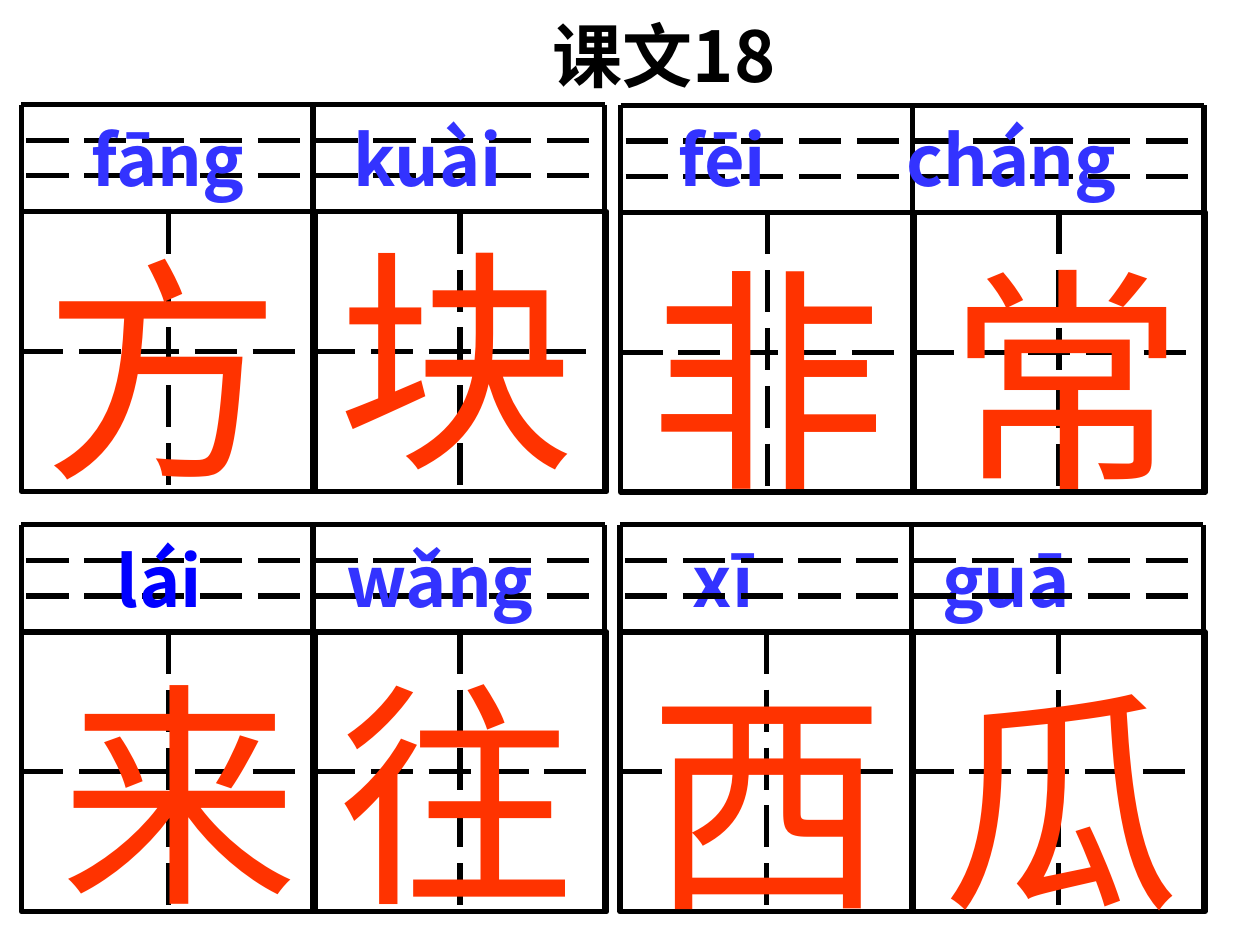
from lxml import etree
from pptx import Presentation
from pptx.dml.color import RGBColor
from pptx.enum.dml import MSO_LINE
from pptx.enum.shapes import MSO_CONNECTOR, MSO_SHAPE
from pptx.enum.text import MSO_AUTO_SIZE
from pptx.oxml.ns import qn
from pptx.util import Inches, Pt

STRAIGHT = MSO_CONNECTOR.STRAIGHT
RECTANGLE = MSO_SHAPE.RECTANGLE
LONG_DASH = MSO_LINE.LONG_DASH
GROW = MSO_AUTO_SIZE.SHAPE_TO_FIT_TEXT
TOP, LEFT, BOTTOM = 0, 1, 2

COLORS = {"ink": "000000", "character": "FF3300",
          "pinyin": "3333FF", "pinyin_strong": "0000FF"}
SANS, LATIN = "Noto Sans CJK SC", "Arial"

# The slide is a grid of 100 columns by 75 rows
COLUMNS, ROWS = 100, 75
CELL_WIDTH, CELL_PITCH, CELL_HEIGHT = 23.3, 23.15, 22.2
PINYIN_HEIGHT = 8.5
SMALL, LARGE = 40, 136
LINE_HEIGHT = 1.288
INSET = 1


def write(paragraph, text, *, size, color, font=SANS, bold=False):
    run = paragraph.add_run()
    run.text = text
    run.font.size = Pt(size)
    run.font.bold = bold
    run.font.name = font
    run.font.color.rgb = RGBColor.from_string(COLORS[color])
    east_asian = etree.SubElement(run.font._element, qn("a:ea"))
    east_asian.set("typeface", SANS)


class Worksheet:
    def __init__(self, prs):
        self.slide = prs.slides.add_slide(prs.slide_layouts[6])
        self.column = prs.slide_width / COLUMNS
        self.row = prs.slide_height / ROWS

    def x(self, columns):
        return round(columns * self.column)

    def y(self, rows):
        return round(rows * self.row)

    def stroke(self, line):
        line.color.rgb = RGBColor.from_string(COLORS["ink"])
        line.width = Pt(3)

    def rule(self, group, x1, y1, x2, y2, dashed=False):
        rule = group.shapes.add_connector(
            STRAIGHT, self.x(x1), self.y(y1), self.x(x2), self.y(y2))
        self.stroke(rule.line)
        if dashed:
            rule.line.dash_style = LONG_DASH
        etree.SubElement(rule._element.spPr, qn("a:effectLst"))
        return rule

    def cell(self, group, left, top):
        """A square for one character, with dashed guides."""
        cell = group.shapes.add_shape(
            RECTANGLE, self.x(left), self.y(top),
            self.x(CELL_WIDTH), self.y(CELL_HEIGHT))
        cell.shadow.inherit = False
        cell.fill.background()
        self.stroke(cell.line)
        center, middle = left + CELL_WIDTH / 2, top + CELL_HEIGHT / 2
        upright = self.rule(group, center, top, center, top + CELL_HEIGHT, True)
        upright.begin_connect(cell, TOP)
        upright.end_connect(cell, BOTTOM)
        level = self.rule(group, left, middle, left + 22.8, middle, True)
        level.begin_connect(cell, LEFT)

    def word_grid(self, left, top):
        """Two character squares under a band ruled for pinyin."""
        group = self.slide.shapes.add_group_shape()
        right = left + 2 * CELL_PITCH
        for index in range(2):
            self.cell(group, left + index * CELL_PITCH, top + PINYIN_HEIGHT)
        self.rule(group, left, top, right, top)
        for drop in (2.85, 5.65):
            self.rule(group, left + 0.4, top + drop, right, top + drop, True)
        for index in range(3):
            edge = left + index * CELL_PITCH
            self.rule(group, edge, top, edge, top + 30.65)

    def text_box(self, left, top, width, height, size):
        box = self.slide.shapes.add_textbox(
            self.x(left), self.y(top), self.x(width), self.y(height))
        frame = box.text_frame
        frame.word_wrap = True
        frame.auto_size = GROW
        paragraph = frame.paragraphs[0]
        paragraph.line_spacing = Pt(round(size * LINE_HEIGHT, 1))
        return paragraph

    def title(self, text):
        paragraph = self.text_box(42.9, 0, 25.2, 7.7, SMALL)
        write(paragraph, text, size=SMALL, color="ink", bold=True)

    def character(self, text, left, top, font=LATIN):
        paragraph = self.text_box(left, top, 22.8, 23.7, LARGE)
        write(paragraph, text, size=LARGE, color="character", font=font)

    def pinyin(self, left, top, width, syllables):
        """One line of syllables, each set at its own tab stop."""
        paragraph = self.text_box(left, top, width, 7.7, SMALL)
        stops = etree.SubElement(
            paragraph._p.get_or_add_pPr(), qn("a:tabLst"))
        for syllable, start, color in syllables:
            stop = etree.SubElement(stops, qn("a:tab"))
            stop.set("pos", str(self.x(start - left - INSET)))
            stop.set("algn", "l")
            write(paragraph, "\t" + syllable, size=SMALL, color=color, bold=True)


def main():
    prs = Presentation()
    prs.slide_width, prs.slide_height = Inches(10), Inches(7.5)
    sheet = Worksheet(prs)

    # Upper row of words
    sheet.word_grid(1.7, 8.3)
    sheet.word_grid(49.25, 8.35)
    sheet.character("块", 25.8, 14.7, SANS)
    sheet.character("方", 2.5, 15.5, SANS)
    sheet.character("非", 50.5, 16.3)
    sheet.character("常", 74.2, 16.3)
    sheet.pinyin(0, 8.3, 99.6, [
        ("fāng", 7.3, "pinyin"), ("kuài", 28.1, "pinyin"),
        ("fēi", 53.9, "pinyin"), ("cháng", 72, "pinyin")])
    sheet.title("课文18")

    # Lower row of words; the right grid lies over the pinyin
    sheet.word_grid(1.7, 41.65)
    sheet.pinyin(-1.7, 41.7, 95.8, [
        ("lái", 9.3, "pinyin_strong"), ("wǎng", 27.5, "pinyin"),
        ("xī", 55, "pinyin"), ("guā", 74.8, "pinyin")])
    sheet.character("往", 25.8, 49.2)
    sheet.character("来", 3.8, 49.2)
    sheet.word_grid(49.2, 41.65)
    sheet.character("西", 50.5, 49.7)
    sheet.character("瓜", 73.8, 49.7)

    prs.save("out.pptx")


if __name__ == "__main__":
    main()
